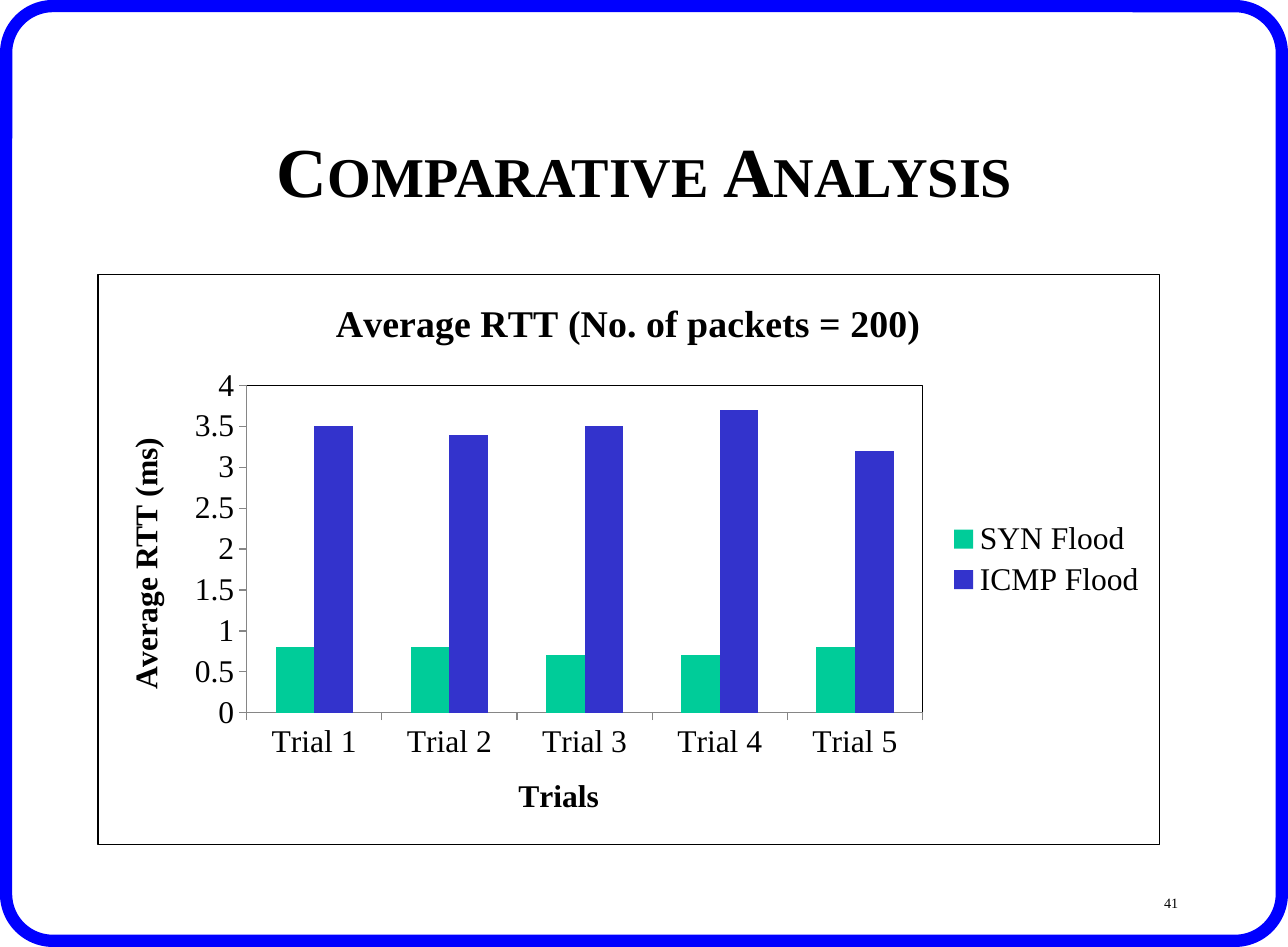
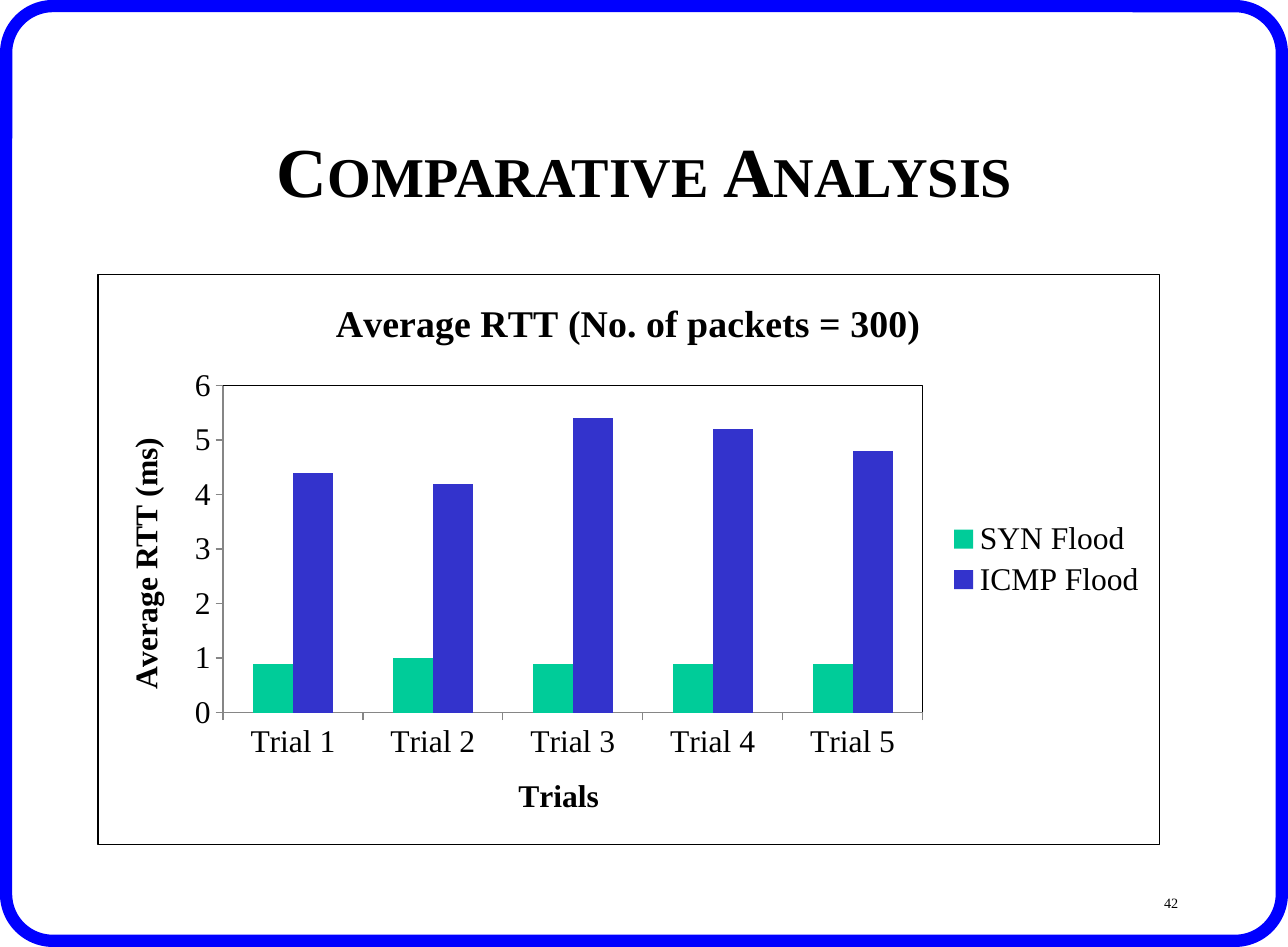
"""Build two slides comparing the average RTT of SYN and ICMP floods."""
from lxml import etree
from pptx import Presentation
from pptx.chart.data import CategoryChartData
from pptx.dml.color import RGBColor
from pptx.enum.chart import XL_CHART_TYPE, XL_LEGEND_POSITION, XL_TICK_MARK
from pptx.enum.shapes import MSO_SHAPE
from pptx.enum.text import MSO_ANCHOR, PP_ALIGN
from pptx.oxml import parse_xml
from pptx.util import Pt

CLUSTERED = XL_CHART_TYPE.COLUMN_CLUSTERED
LEGEND_RIGHT = XL_LEGEND_POSITION.RIGHT
TICK_OUTSIDE, TICK_NONE = XL_TICK_MARK.OUTSIDE, XL_TICK_MARK.NONE
ROUNDED = MSO_SHAPE.ROUNDED_RECTANGLE
MIDDLE = MSO_ANCHOR.MIDDLE
CENTER, RIGHT = PP_ALIGN.CENTER, PP_ALIGN.RIGHT

FONT = "Times New Roman"
COLORS = {
    "text": "000000",
    "band": "0000FF",
    "axis": "868686",
    "SYN Flood": "00CC99",
    "ICMP Flood": "3333CC",
}
WIDTH, HEIGHT = 734.4, 540
BAND_WIDTH, BAND_RADIUS = 7, 26.7
TITLE_BOX = (55.5, 48, 624, 90)
NUMBER_BOX = (526.5, 492, 152.5, 36)
CHART_BOX = (55.5, 156, 606, 326)

TITLE_RUNS = [("C", 40), ("OMPARATIVE ", 32), ("A", 40), ("NALYSIS", 32)]
TRIALS = [f"Trial {number}" for number in range(1, 6)]
SLIDES = [
    {
        "number": "41",
        "packets": 200,
        "axis": (4, 0.5),
        "series": {
            "SYN Flood": (0.8, 0.8, 0.7, 0.7, 0.8),
            "ICMP Flood": (3.5, 3.4, 3.5, 3.7, 3.2),
        },
    },
    {
        "number": "42",
        "packets": 300,
        "axis": (6, 1),
        "series": {
            "SYN Flood": (0.9, 1, 0.9, 0.9, 0.9),
            "ICMP Flood": (4.4, 4.2, 5.4, 5.2, 4.8),
        },
    },
]

CHART_NS = "http://schemas.openxmlformats.org/drawingml/2006/chart"
DRAWING_NS = "http://schemas.openxmlformats.org/drawingml/2006/main"


def color(name):
    return RGBColor.from_string(COLORS[name])


def points(box):
    return [Pt(length) for length in box]


def add_run(paragraph, text, size, bold=False):
    run = paragraph.add_run()
    run.text = text
    run.font.name, run.font.size, run.font.bold = FONT, Pt(size), bold
    run.font.color.rgb = color("text")
    return run


def add_text_box(slide, box, alignment):
    frame = slide.shapes.add_textbox(*points(box)).text_frame
    frame.word_wrap = True
    frame.vertical_anchor = MIDDLE
    paragraph = frame.paragraphs[0]
    paragraph.alignment = alignment
    return frame, paragraph


def add_band(slide):
    inset = BAND_WIDTH / 2
    width, height = WIDTH - BAND_WIDTH, HEIGHT - BAND_WIDTH
    band = slide.shapes.add_shape(ROUNDED, *points((inset, inset, width, height)))
    band.adjustments[0] = BAND_RADIUS / height
    band.shadow.inherit = False
    band.fill.background()
    band.line.color.rgb = color("band")
    band.line.width = Pt(BAND_WIDTH)


def add_title(slide):
    frame, paragraph = add_text_box(slide, TITLE_BOX, CENTER)
    frame.margin_top = Pt(11)
    for text, size in TITLE_RUNS:
        add_run(paragraph, text, size, bold=True)


def add_number(slide, number):
    frame, paragraph = add_text_box(slide, NUMBER_BOX, RIGHT)
    frame.word_wrap = False
    run = add_run(paragraph, number, 14)
    run.font._rPr.set("baseline", "-25000")


def border():
    return parse_xml(
        f'<c:spPr xmlns:c="{CHART_NS}" xmlns:a="{DRAWING_NS}"><a:noFill/>'
        f'<a:ln w="{Pt(0.75)}"><a:solidFill><a:srgbClr val="{COLORS["text"]}"/>'
        "</a:solidFill></a:ln></c:spPr>"
    )


def style_axis(axis, title):
    axis.has_major_gridlines = False
    axis.major_tick_mark, axis.minor_tick_mark = TICK_OUTSIDE, TICK_NONE
    axis.format.line.color.rgb = color("axis")
    axis.format.line.width = Pt(0.75)
    frame = axis.axis_title.text_frame
    add_run(frame.paragraphs[0], title, 18, bold=True)
    return frame


def add_rtt_chart(slide, content):
    data = CategoryChartData()
    data.categories = TRIALS
    for name, values in content["series"].items():
        data.add_series(name, values)
    chart = slide.shapes.add_chart(CLUSTERED, *points(CHART_BOX), data).chart
    chart.font.name, chart.font.size = FONT, Pt(18)
    chart.font.color.rgb = color("text")

    title = chart.chart_title.text_frame.paragraphs[0]
    add_run(title, f"Average RTT (No. of packets = {content['packets']})", 21.6, bold=True)
    chart.has_legend = True
    chart.legend.position = LEGEND_RIGHT
    chart.legend.include_in_layout = False

    style_axis(chart.category_axis, "Trials")
    value_title = style_axis(chart.value_axis, "Average RTT (ms)")
    value_title._txBody.bodyPr.set("rot", "-5400000")
    value_title._txBody.bodyPr.set("vert", "horz")
    chart.value_axis.minimum_scale = 0
    chart.value_axis.maximum_scale, chart.value_axis.major_unit = content["axis"]

    plot = chart.plots[0]
    plot.gap_width, plot.overlap = 150, 0
    plot.vary_by_categories = False
    for series in plot.series:
        series.format.fill.solid()
        series.format.fill.fore_color.rgb = color(series.name)

    space = chart._chartSpace
    space.find(etree.QName(CHART_NS, "txPr")).addprevious(border())
    space.chart.plotArea.append(border())


def main():
    presentation = Presentation()
    presentation.slide_width, presentation.slide_height = Pt(WIDTH), Pt(HEIGHT)
    for content in SLIDES:
        slide = presentation.slides.add_slide(presentation.slide_layouts[6])
        add_band(slide)
        add_number(slide, content["number"])
        add_title(slide)
        add_rtt_chart(slide, content)
    presentation.save("out.pptx")


if __name__ == "__main__":
    main()
